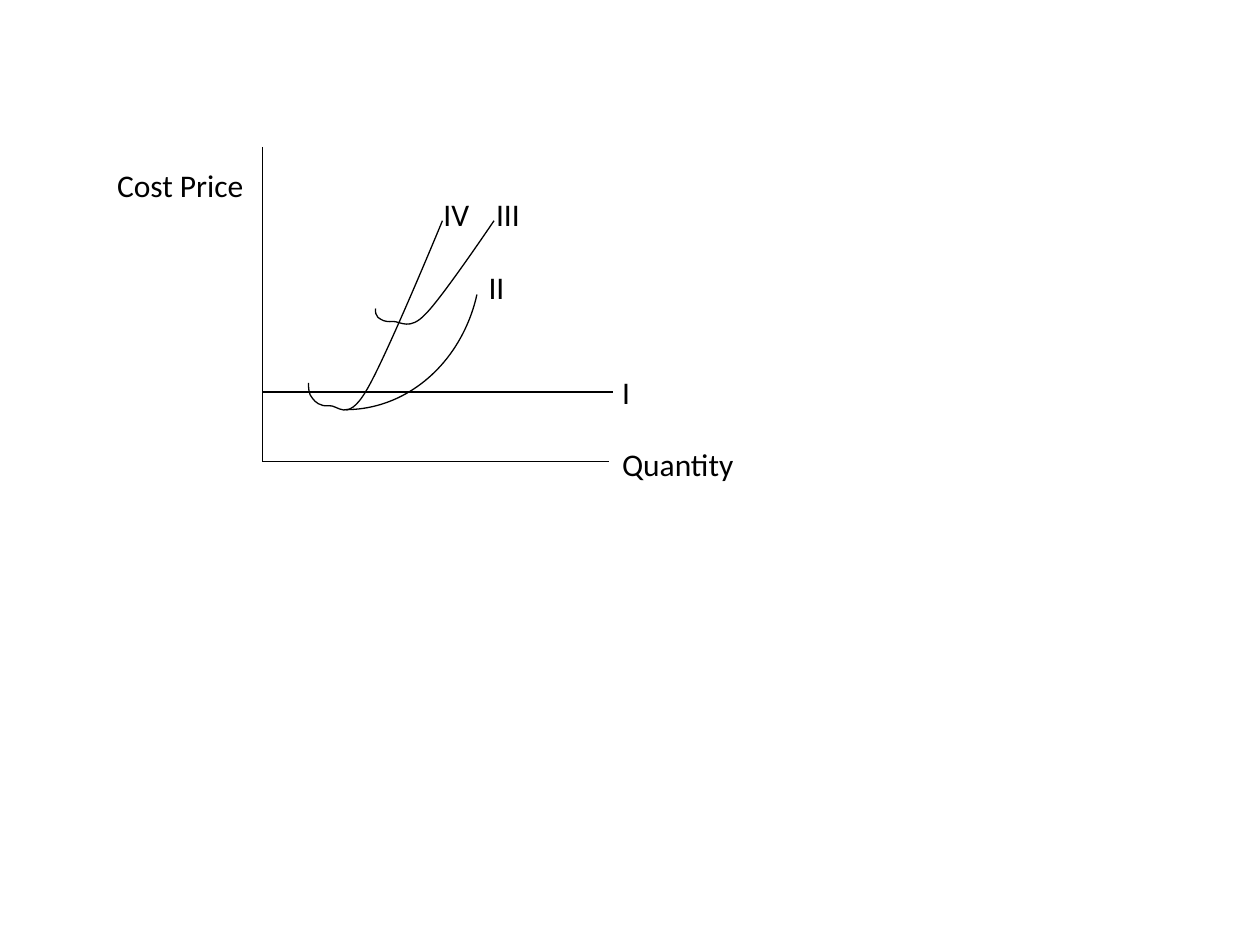
from typing import NamedTuple

from lxml.etree import SubElement
from pptx import Presentation
from pptx.dml.color import RGBColor
from pptx.enum.shapes import MSO_CONNECTOR as Link, MSO_SHAPE as Shape
from pptx.enum.text import MSO_AUTO_SIZE as AutoSize
from pptx.oxml.ns import qn
from pptx.util import Cm, Pt

BLACK = "000000"
FONT = "Calibri"
LABEL_HEIGHT = 1.02
ORIGIN_X, ORIGIN_Y = 5.29, 9.31

Point = tuple[float, float]


class Line(NamedTuple):
    start: Point
    end: Point


class Curve(NamedTuple):
    """A start point, then three Bezier points per segment."""
    start: Point
    controls: list[Point]
    height: float


class Label(NamedTuple):
    text: str
    left: float
    top: float
    width: float


LINES = [
    Line((ORIGIN_X, 2.96), (ORIGIN_X, ORIGIN_Y)),
    Line((ORIGIN_X, ORIGIN_Y), (12.28, ORIGIN_Y)),
    Line((ORIGIN_X, 7.9), (12.35, 7.9)),
]

CURVE_IV = Curve((6.22, 7.72), [
    (6.22, 7.82), (6.22, 7.95), (6.3, 8.03),
    (6.35, 8.1), (6.45, 8.2), (6.63, 8.18),
    (6.81, 8.15), (6.99, 8.53), (7.37, 7.9),
    (7.75, 7.29), (8.92, 4.45), (8.92, 4.45),
], 3.83)

CURVE_III = Curve((7.57, 6.22), [
    (7.57, 6.3), (7.57, 6.35), (7.62, 6.4),
    (7.7, 6.45), (7.75, 6.5), (7.92, 6.48),
    (8.08, 6.48), (8.26, 6.68), (8.59, 6.32),
    (8.92, 5.99), (9.96, 4.45), (9.96, 4.45),
], 2.08)

LABELS = [
    Label("IV", 8.69, 3.81, 1.04),
    Label("III", 9.75, 3.81, 0.99),
    Label("II", 9.6, 5.28, 0.84),
    Label("I", 12.29, 7.39, 0.69),
    Label("Quantity", 12.29, 8.84, 2.79),
    Label("Cost Price", 2.11, 3.23, 3.1),
]


def color(hex_code: str) -> RGBColor:
    return RGBColor.from_string(hex_code)


def style_stroke(line) -> None:
    line.color.rgb = color(BLACK)
    line.width = Pt(0.75)


def draw_line(slide, line: Line) -> None:
    ends = [Cm(value) for value in line.start + line.end]
    connector = slide.shapes.add_connector(Link.STRAIGHT, *ends)
    style_stroke(connector.line)
    SubElement(connector._element.spPr, qn("a:effectLst"))


def style_open_shape(shape) -> None:
    shape.shadow.inherit = False
    shape.fill.background()
    style_stroke(shape.line)


def draw_curve(slide, curve: Curve) -> None:
    """Build the control polygon, then turn every three sides into a Bezier."""
    start_x, start_y = curve.start
    builder = slide.shapes.build_freeform(Cm(start_x), Cm(start_y))
    builder.add_line_segments([(Cm(x), Cm(y)) for x, y in curve.controls], close=False)
    shape = builder.convert_to_shape()

    outline = shape._element.find(".//" + qn("a:path"))
    sides = outline.findall(qn("a:lnTo"))
    for first in range(0, len(sides), 3):
        bezier = SubElement(outline, qn("a:cubicBezTo"))
        for side in sides[first:first + 3]:
            bezier.append(side[0])
            outline.remove(side)

    # The frame ends at the curve, above the lowest control point.
    shape.height = Cm(curve.height)
    outline.set("h", str(shape.height))
    style_open_shape(shape)


def draw_curve_ii(slide) -> None:
    arc = slide.shapes.add_shape(Shape.ARC, Cm(4.24), Cm(2.11), Cm(5.46), Cm(6.15))
    arc.adjustments[0] = 162
    arc.adjustments[1] = 206.44
    arc._element.spPr.xfrm.set("flipV", "1")
    style_open_shape(arc)


def draw_label(slide, label: Label) -> None:
    box = slide.shapes.add_textbox(
        Cm(label.left), Cm(label.top), Cm(label.width), Cm(LABEL_HEIGHT))
    frame = box.text_frame
    frame.word_wrap = False
    frame.auto_size = AutoSize.SHAPE_TO_FIT_TEXT
    run = frame.paragraphs[0].add_run()
    run.text = label.text
    run.font.name = FONT
    run.font.size = Pt(18)
    run.font.color.rgb = color(BLACK)


def main() -> None:
    deck = Presentation()
    deck.slide_width, deck.slide_height = Cm(25.4), Cm(19.05)
    slide = deck.slides.add_slide(deck.slide_layouts[6])

    for line in LINES:
        draw_line(slide, line)
    draw_curve(slide, CURVE_IV)
    draw_curve_ii(slide)
    draw_curve(slide, CURVE_III)
    for label in LABELS:
        draw_label(slide, label)

    deck.save("out.pptx")


if __name__ == "__main__":
    main()
